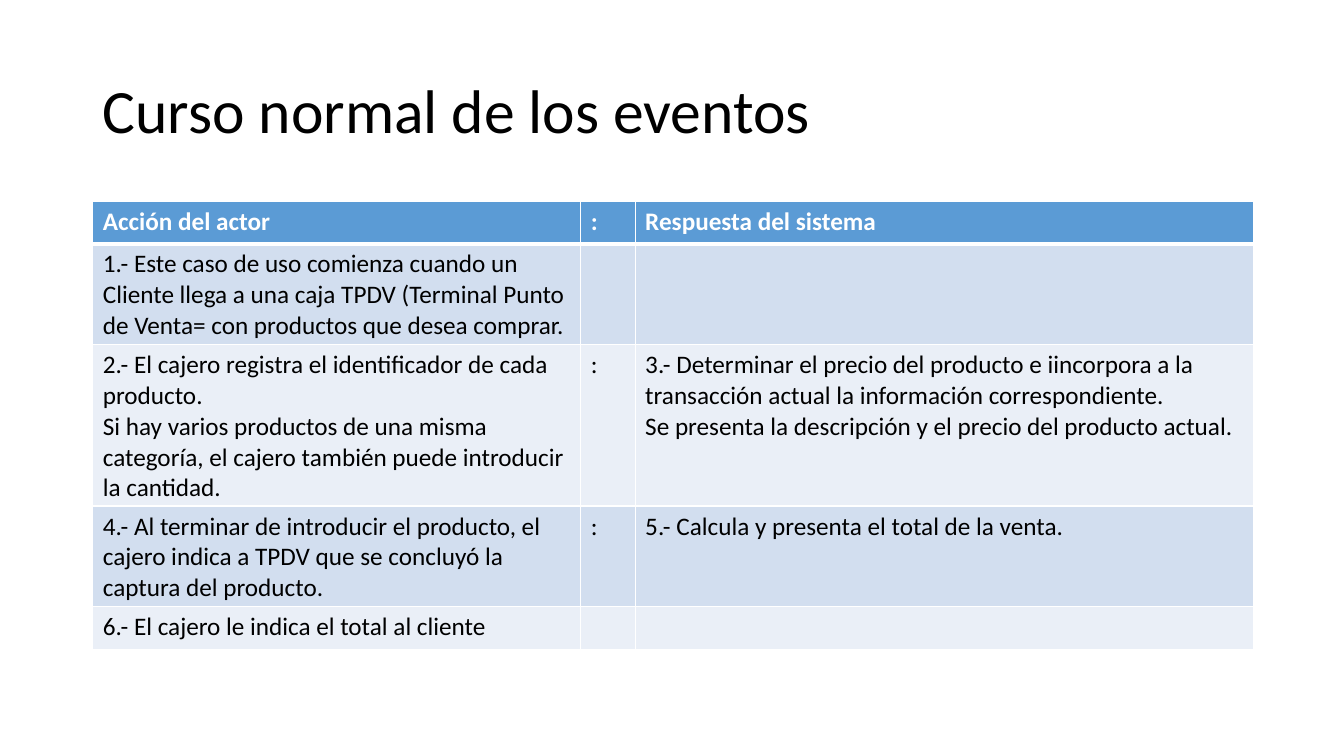
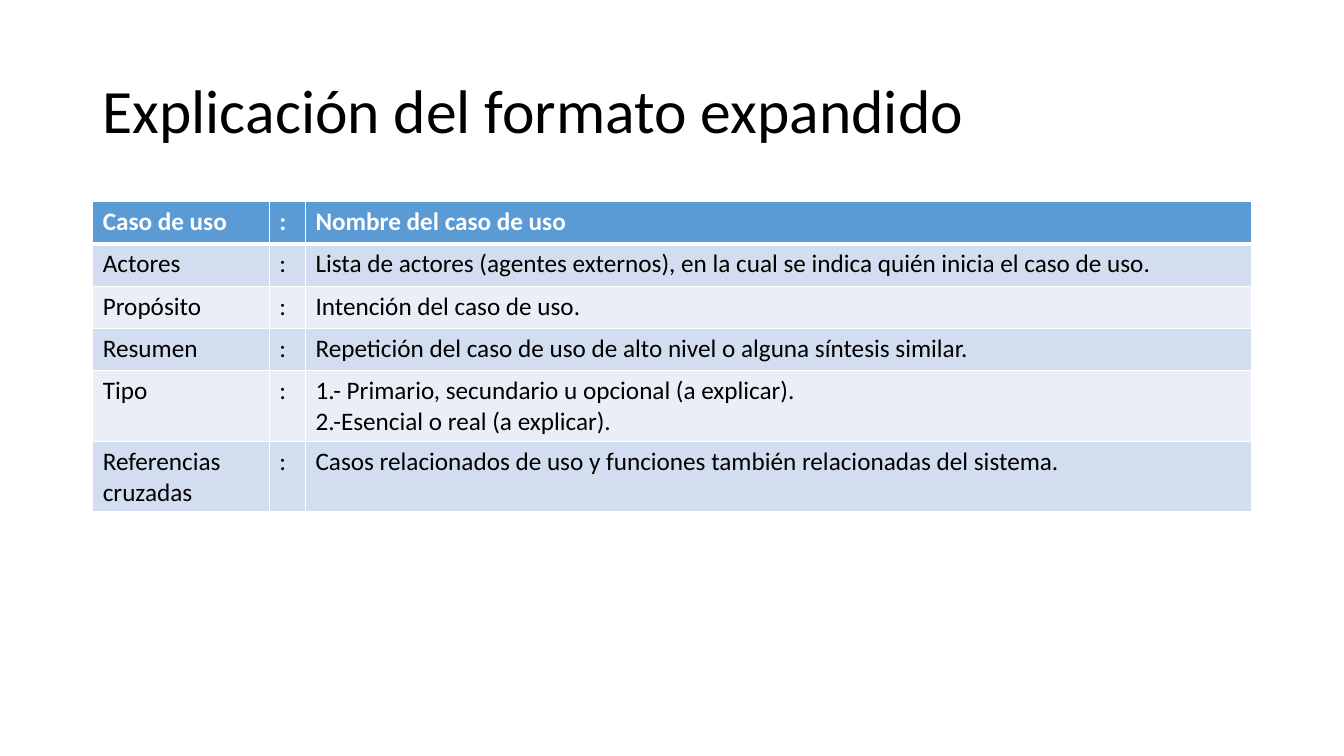
"""Builds two slides on the expanded format of a use case."""
from lxml import etree
from pptx import Presentation
from pptx.dml.color import RGBColor
from pptx.enum import text
from pptx.oxml import ns
from pptx.util import Inches, Pt

INK = {"head": "5B9BD5", "dark": "D2DEEF", "light": "EAEFF7",
       "white": "FFFFFF", "black": "000000"}
FONT = "Calibri"
LEFT, WIDTH, ROW = 0.92, 11.5, 0.42

PAGES = [
    ("Curso normal de los eventos", [4.84, 0.54, 6.13], [
        ("Acción del actor", ":", "Respuesta del sistema"),
        ("1.- Este caso de uso comienza cuando un Cliente llega a una caja TPDV "
         "(Terminal Punto de Venta= con productos que desea comprar.", "", ""),
        ("2.- El cajero registra el identificador de cada producto.\n"
         "Si hay varios productos de una misma categoría, el cajero también "
         "puede introducir la cantidad.", ":",
         "3.- Determinar el precio del producto e iincorpora a la transacción "
         "actual la información correspondiente.\n"
         "Se presenta la descripción y el precio del producto actual."),
        ("4.- Al terminar de introducir el producto, el cajero indica a TPDV "
         "que se concluyó la captura del producto.", ":",
         "5.- Calcula y presenta el total de la venta."),
        ("6.- El cajero le indica el total al cliente", "", ""),
    ]),
    ("Explicación del formato expandido", [1.75, 0.36, 9.38], [
        ("Caso de uso", ":", "Nombre del caso de uso"),
        ("Actores", ":", "Lista de actores (agentes externos), en la cual se "
         "indica quién inicia el caso de uso."),
        ("Propósito", ":", "Intención del caso de uso."),
        ("Resumen", ":", "Repetición del caso de uso de alto nivel o alguna "
         "síntesis similar."),
        ("Tipo", ":", "1.- Primario, secundario u opcional (a explicar).\n"
         "2.-Esencial o real (a explicar)."),
        ("Referencias cruzadas", ":", "Casos relacionados de uso y funciones "
         "también relacionadas del sistema."),
    ]),
]


def write(frame, words, size, tint, bold=False):
    for i, line in enumerate(words.split("\n")):
        para = frame.paragraphs[0] if i == 0 else frame.add_paragraph()
        run = para.add_run()
        run.text = line
        run.font.name, run.font.size, run.font.bold = FONT, Pt(size), bold
        run.font.color.rgb = RGBColor.from_string(INK[tint])


def edge(cell, row):
    props = cell._tc.get_or_add_tcPr()
    wide = {"T": 3 if row == 1 else 1, "B": 3 if row == 0 else 1}
    for i, side in enumerate("LRTB"):
        line = etree.Element(ns.qn("a:ln" + side), w=str(Pt(wide.get(side, 1))))
        fill = etree.SubElement(line, ns.qn("a:solidFill"))
        etree.SubElement(fill, ns.qn("a:srgbClr"), val=INK["white"])
        props.insert(i, line)


deck = Presentation()
deck.slide_width, deck.slide_height = Inches(13.33), Inches(7.5)

for title, cols, rows in PAGES:
    slide = deck.slides.add_slide(deck.slide_layouts[6])
    box = slide.shapes.add_textbox(Inches(LEFT), Inches(0.4), Inches(WIDTH), Inches(1.45))
    frame = box.text_frame
    frame.word_wrap = True
    frame.vertical_anchor = text.MSO_ANCHOR.MIDDLE
    write(frame, title, 44, "black")
    frame.paragraphs[0].line_spacing = 0.9

    table = slide.shapes.add_table(len(rows), len(cols), Inches(LEFT), Inches(2),
                                   Inches(WIDTH), Inches(ROW * len(rows))).table
    for col, width in zip(table.columns, cols):
        col.width = Inches(width)
    for r, row in enumerate(rows):
        table.rows[r].height = Inches(ROW)
        head = r == 0
        band = "head" if head else "dark" if r % 2 else "light"
        for c, words in enumerate(row):
            cell = table.cell(r, c)
            cell.fill.solid()
            cell.fill.fore_color.rgb = RGBColor.from_string(INK[band])
            edge(cell, r)
            if words:
                write(cell.text_frame, words, 18, "white" if head else "black", head)

deck.save("out.pptx")
